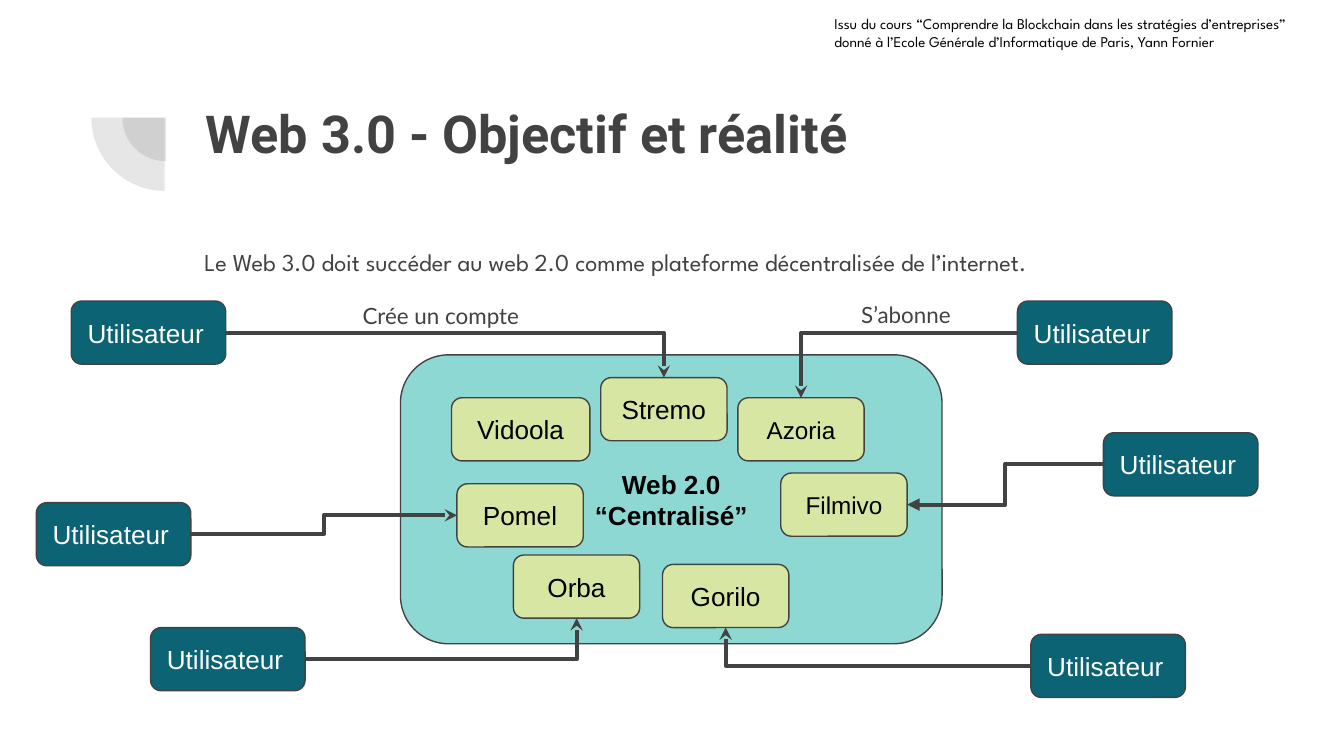
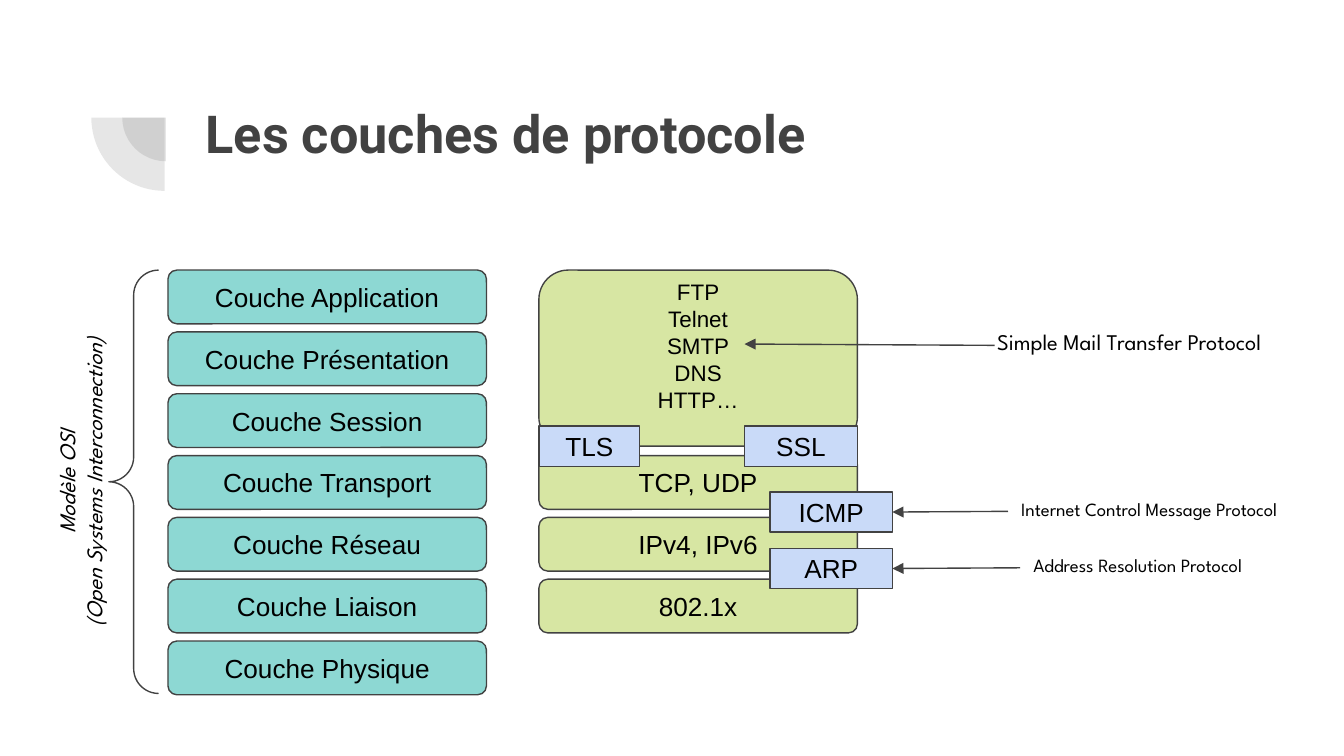
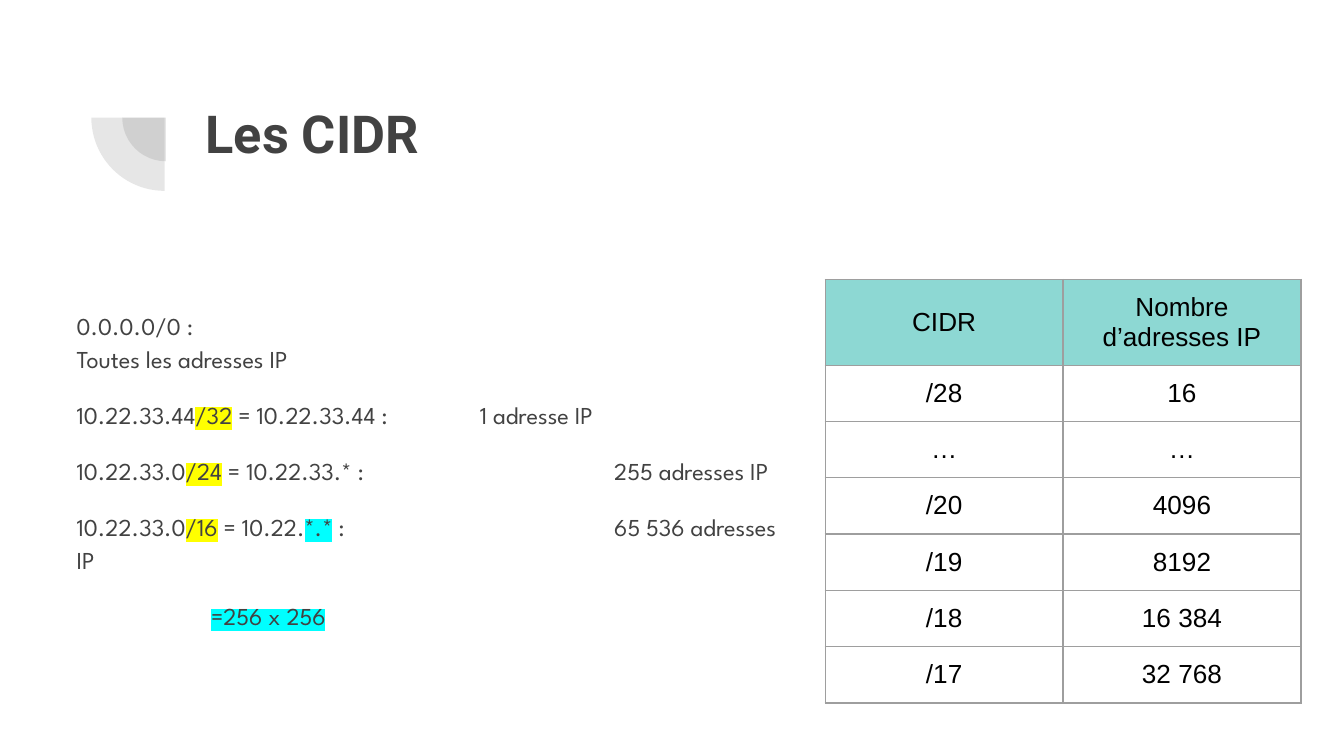
from dataclasses import dataclass

from lxml import etree
from pptx import Presentation
from pptx.dml.color import RGBColor
from pptx.enum.shapes import MSO_CONNECTOR, MSO_SHAPE
from pptx.enum.text import MSO_ANCHOR, MSO_AUTO_SIZE, PP_ALIGN
from pptx.oxml.ns import qn
from pptx.shapes.autoshape import Shape
from pptx.shapes.connector import Connector
from pptx.slide import Slide, SlideMaster
from pptx.table import _Cell
from pptx.text.text import TextFrame, _Paragraph
from pptx.util import Inches, Pt

# Colours
GRAY = RGBColor(0x42, 0x42, 0x42)
BLACK = RGBColor(0x00, 0x00, 0x00)
WHITE = RGBColor(0xFF, 0xFF, 0xFF)
TURQUOISE = RGBColor(0x8D, 0xD8, 0xD3)
LIME = RGBColor(0xD7, 0xE6, 0xA3)
PETROL = RGBColor(0x0B, 0x63, 0x74)
PALE_BLUE = RGBColor(0xC9, 0xDA, 0xF8)
BORDER_GRAY = RGBColor(0x9E, 0x9E, 0x9E)
YELLOW = RGBColor(0xFF, 0xFF, 0x00)
CYAN = RGBColor(0x00, 0xFF, 0xFF)

# Enum members
ROUNDED, RECTANGLE = MSO_SHAPE.ROUNDED_RECTANGLE, MSO_SHAPE.RECTANGLE
PIE, BRACE = MSO_SHAPE.PIE, MSO_SHAPE.LEFT_BRACE
STRAIGHT, ELBOW = MSO_CONNECTOR.STRAIGHT, MSO_CONNECTOR.ELBOW
LEFT, CENTER = PP_ALIGN.LEFT, PP_ALIGN.CENTER
TOP, MIDDLE = MSO_ANCHOR.TOP, MSO_ANCHOR.MIDDLE
NO_FIT, GROW = MSO_AUTO_SIZE.NONE, MSO_AUTO_SIZE.SHAPE_TO_FIT_TEXT

# Sides of a box where connectors join
SIDE_TOP, SIDE_LEFT, SIDE_BOTTOM, SIDE_RIGHT = range(4)

TITLE_AND_BODY, TITLE_ONLY = 1, 5  # layouts
SLIDE_WIDTH = Inches(10)
SLIDE_HEIGHT = SLIDE_WIDTH * 9 // 16
THIN, THICK = Pt(0.75), Pt(2.25)
INSET = Inches(0.1)
TAB_STEP = Inches(1)


@dataclass(frozen=True)
class TextStyle:
    size: float
    name: str = "Arial"
    color: RGBColor = BLACK
    bold: bool = False
    italic: bool = False
    align: PP_ALIGN = LEFT


@dataclass(frozen=True)
class Area:
    left: float
    top: float
    width: float
    height: float

    def lengths(self) -> tuple[int, int, int, int]:
        return (Inches(self.left), Inches(self.top),
                Inches(self.width), Inches(self.height))


@dataclass(frozen=True)
class BoxStyle:
    fill: RGBColor
    text: TextStyle
    kind: MSO_SHAPE = ROUNDED


@dataclass(frozen=True)
class Span:
    text: str
    highlight: RGBColor | None = None


TITLE = TextStyle(28, "Roboto", GRAY, bold=True)
BODY = TextStyle(13, "League Spartan", GRAY)
LABEL = TextStyle(14, align=CENTER)
SMALL_LABEL = TextStyle(13, align=CENTER)
ACTION = TextStyle(12, "Lato", GRAY)
BRACE_NOTE = TextStyle(12, "League Spartan", italic=True, align=CENTER)
CLOUD_BOX = BoxStyle(TURQUOISE, TextStyle(14, bold=True, align=CENTER))
OSI_BOX = BoxStyle(TURQUOISE, LABEL)
LIME_BOX = BoxStyle(LIME, LABEL)
LIME_SMALL_BOX = BoxStyle(LIME, SMALL_LABEL)
PROTOCOL_BOX = BoxStyle(LIME, TextStyle(12, align=CENTER))
USER_BOX = BoxStyle(PETROL, TextStyle(14, color=WHITE))
SECURITY_BOX = BoxStyle(PALE_BLUE, LABEL, RECTANGLE)


# Text
def format_paragraph(para: _Paragraph, style: TextStyle) -> None:
    para.alignment = style.align
    font = para.font
    font.size, font.name = Pt(style.size), style.name
    font.bold, font.italic = style.bold, style.italic
    font.color.rgb = style.color


def set_frame(frame: TextFrame, anchor: MSO_ANCHOR, fit: MSO_AUTO_SIZE) -> None:
    frame.word_wrap = True
    frame.auto_size = fit
    frame.vertical_anchor = anchor
    frame.margin_left = frame.margin_right = INSET
    frame.margin_top = frame.margin_bottom = INSET


def write_text(frame: TextFrame, text: str, style: TextStyle) -> None:
    frame.text = text
    for para in frame.paragraphs:
        format_paragraph(para, style)


def format_body_line(para: _Paragraph, before: float, after: float) -> None:
    properties = para._p.get_or_add_pPr()
    properties.set("marL", "0")
    properties.set("indent", "0")
    properties.set("defTabSz", str(TAB_STEP))
    etree.SubElement(properties, qn("a:buNone"))
    para.line_spacing = 1.15
    para.space_before, para.space_after = Pt(before), Pt(after)
    format_paragraph(para, BODY)


# Slide parts
def set_tab_step(deck) -> None:
    for root in (deck.element, deck.slide_master.element):
        for level in root.iter():
            if level.get("defTabSz"):
                level.set("defTabSz", str(TAB_STEP))


def add_titled_slide(deck, layout: int, title: str) -> Slide:
    slide = deck.slides.add_slide(deck.slide_layouts[layout])
    holder = slide.shapes.title
    holder.left, holder.top, holder.width, holder.height = Area(1.43, 0.65, 7.69, 1.09).lengths()
    set_frame(holder.text_frame, TOP, NO_FIT)
    write_text(holder.text_frame, title, TITLE)
    return slide


def place_body(slide: Slide, area: Area) -> TextFrame:
    holder = slide.placeholders[1]
    holder.left, holder.top, holder.width, holder.height = area.lengths()
    set_frame(holder.text_frame, TOP, NO_FIT)
    return holder.text_frame


def add_quarter_discs(slide: Slide, master: SlideMaster) -> None:
    """Draw the two corner pieces, then hand them to the shared master."""
    for number, area in enumerate((Area(0.91, 0.55, 0.65, 0.65),
                                   Area(0.68, 0.33, 1.09, 1.09))):
        disc = slide.shapes.add_shape(PIE, *area.lengths())
        disc.adjustments[0], disc.adjustments[1] = 108, 162
        disc.rotation = 270
        disc.shadow.inherit = False
        disc.line.fill.background()
        disc.fill.solid()
        disc.fill.fore_color.rgb = GRAY
        color = disc.element.spPr.find(qn("a:solidFill"))[0]
        etree.SubElement(color, qn("a:alpha"), val="13000")
        disc.element.nvSpPr.cNvPr.set("id", str(100 + number))
        master.shapes.element.append(disc.element)


def add_box(slide: Slide, text: str, area: Area, style: BoxStyle) -> Shape:
    box = slide.shapes.add_shape(style.kind, *area.lengths())
    box.shadow.inherit = False
    box.fill.solid()
    box.fill.fore_color.rgb = style.fill
    box.line.color.rgb = GRAY
    box.line.width = THIN
    set_frame(box.text_frame, MIDDLE, NO_FIT)
    write_text(box.text_frame, text, style.text)
    return box


def add_note(slide: Slide, text: str, area: Area, style: TextStyle) -> Shape:
    note = slide.shapes.add_textbox(*area.lengths())
    set_frame(note.text_frame, TOP, GROW)
    write_text(note.text_frame, text, style)
    return note


def style_arrow(arrow: Connector, width: int, head: str) -> None:
    arrow.line.color.rgb = GRAY
    arrow.line.width = width
    properties = arrow.element.spPr
    etree.SubElement(properties.find(qn("a:ln")), qn("a:tailEnd"), type=head)
    etree.SubElement(properties, qn("a:effectLst"))


def join_boxes(slide: Slide, kind: MSO_CONNECTOR, start: Shape, start_side: int,
               end: Shape, end_side: int) -> Connector:
    arrow = slide.shapes.add_connector(kind, 0, 0, 0, 0)
    arrow.begin_connect(start, start_side)
    arrow.end_connect(end, end_side)
    return arrow


# Slide 1
def build_web_slide(deck) -> None:
    slide = add_titled_slide(deck, TITLE_AND_BODY, "Web 3.0 - Objectif et réalité")
    add_quarter_discs(slide, deck.slide_master)
    frame = place_body(slide, Area(1.42, 1.71, 7.7, 0.47))
    frame.text = "Le Web 3.0 doit succéder au web 2.0 comme plateforme décentralisée de l’internet."
    format_body_line(frame.paragraphs[0], before=0, after=12)

    add_box(slide, "Web 2.0\n“Centralisé”", Area(2.98, 2.64, 4.03, 2.15), CLOUD_BOX)
    services = {
        name: add_box(slide, name, Area(left, top, width, 0.47), style)
        for name, left, top, width, style in (
            ("Stremo", 4.47, 2.81, 0.94, LIME_BOX),
            ("Vidoola", 3.36, 2.96, 1.03, LIME_BOX),
            ("Gorilo", 4.93, 4.2, 0.94, LIME_BOX),
            ("Azoria", 5.49, 2.96, 0.94, LIME_SMALL_BOX),
            ("Orba", 3.82, 4.13, 0.94, LIME_BOX),
            ("Pomel", 3.4, 3.6, 0.94, LIME_BOX),
            ("Filmivo", 5.81, 3.52, 0.94, LIME_SMALL_BOX),
        )
    }

    # Users, each with an arrow to a service
    for left, top, side, service, service_side, head in (
        (0.53, 2.24, SIDE_RIGHT, "Stremo", SIDE_TOP, "stealth"),
        (0.27, 3.74, SIDE_RIGHT, "Pomel", SIDE_LEFT, "stealth"),
        (1.12, 4.67, SIDE_RIGHT, "Orba", SIDE_BOTTOM, "stealth"),
        (7.57, 2.24, SIDE_LEFT, "Azoria", SIDE_TOP, "stealth"),
        (8.21, 3.22, SIDE_LEFT, "Filmivo", SIDE_RIGHT, "triangle"),
        (7.67, 4.72, SIDE_LEFT, "Gorilo", SIDE_BOTTOM, "stealth"),
    ):
        user = add_box(slide, "Utilisateur", Area(left, top, 1.15, 0.47), USER_BOX)
        arrow = join_boxes(slide, ELBOW, user, side, services[service], service_side)
        if service_side in (SIDE_TOP, SIDE_BOTTOM):  # a single bend
            arrow.element.spPr.find(qn("a:prstGeom")).set("prst", "bentConnector2")
        style_arrow(arrow, THICK, head)

    add_note(slide, "Crée un compte", Area(2.6, 2.15, 1.37, 0.4), ACTION)
    add_note(slide, "S’abonne", Area(6.31, 2.14, 1.37, 0.4), ACTION)
    add_note(slide,
             "Issu du cours “Comprendre la Blockchain dans les stratégies d’entreprises”\n"
             "donné à l’Ecole Générale d’Informatique de Paris, Yann Fornier",
             Area(6.11, 0.01, 3.92, 0.47), TextStyle(8, "League Spartan"))


# Slide 2
def build_layers_slide(deck) -> None:
    slide = add_titled_slide(deck, TITLE_ONLY, "Les couches de protocole")

    def layer_area(left: float, row: int) -> Area:
        return Area(left, 2.01 + 0.46 * row, 2.37, 0.4)

    # OSI column and its brace
    for row, name in enumerate(("Application", "Présentation", "Session", "Transport",
                                "Réseau", "Liaison", "Physique")):
        add_box(slide, f"Couche {name}", layer_area(1.25, row), OSI_BOX)
    brace = slide.shapes.add_shape(BRACE, *Area(0.81, 2.01, 0.37, 3.15).lengths())
    brace.adjustments[0] = brace.adjustments[1] = 0.5
    brace.shadow.inherit = False
    brace.fill.background()
    brace.line.color.rgb = GRAY
    brace.line.width = THIN
    model = add_note(slide, "Modèle OSI\n(Open Systems Interconnection)",
                     Area(-0.96, 3.28, 3.12, 0.61), BRACE_NOTE)
    model.rotation = 270

    # Protocol column
    applications = add_box(slide, "FTP\nTelnet\nSMTP\nDNS\nHTTP…",
                           Area(4.01, 2.01, 2.37, 1.31), PROTOCOL_BOX)
    applications.text_frame.margin_top = Inches(0.06)
    applications.text_frame.margin_bottom = Inches(0.25)
    for row, name in enumerate(("TCP, UDP", "IPv4, IPv6", "802.1x"), start=3):
        add_box(slide, name, layer_area(4.01, row), LIME_BOX)
    add_box(slide, "TLS", Area(4.01, 3.17, 0.75, 0.3), SECURITY_BOX)
    add_box(slide, "SSL", Area(5.54, 3.17, 0.84, 0.3), SECURITY_BOX)

    # Protocols spelled out
    add_note(slide, "Simple Mail Transfer Protocol", Area(7.32, 2.34, 2.52, 0.4),
             TextStyle(12, "League Spartan"))
    mail_arrow = slide.shapes.add_connector(STRAIGHT, Inches(7.4), Inches(2.57),
                                            Inches(5.54), Inches(2.56))
    style_arrow(mail_arrow, THIN, "triangle")
    for short, top, meaning, left in (
        ("ICMP", 3.66, "Internet Control Message Protocol", 7.5),
        ("ARP", 4.08, "Address Resolution Protocol", 7.59),
    ):
        box = add_box(slide, short, Area(5.73, top, 0.91, 0.3), SECURITY_BOX)
        note = add_note(slide, meaning, Area(left, top - 0.04, 2.52, 0.37),
                        TextStyle(10, "League Spartan"))
        arrow = join_boxes(slide, STRAIGHT, note, SIDE_LEFT, box, SIDE_RIGHT)
        style_arrow(arrow, THIN, "triangle")


# Slide 3
CIDR_LINES = [
    [Span("0.0.0.0/0 :\vToutes les adresses IP")],
    [Span("10.22.33.44"), Span("/32", YELLOW), Span(" = 10.22.33.44 : \t1 adresse IP")],
    [Span("10.22.33.0"), Span("/24", YELLOW), Span(" = 10.22.33.* : \t\t255 adresses IP")],
    [Span("10.22.33.0"), Span("/16", YELLOW), Span(" = 10.22."), Span("*.*", CYAN),
     Span(" : \t\t65 536 adresses IP")],
    [Span("\t"), Span("=256 x 256", CYAN)],
]
CIDR_TABLE = [
    ("CIDR", "Nombre d’adresses IP"),
    ("/28", "16"),
    ("…", "…"),
    ("/20", "4096"),
    ("/19", "8192"),
    ("/18", "16 384"),
    ("/17", "32 768"),
]


def add_spans(para: _Paragraph, spans: list[Span]) -> None:
    for span in spans:
        for number, part in enumerate(span.text.split("\v")):
            if number:
                para.add_line_break()
            run = para.add_run()
            run.text = part
            if span.highlight is not None:
                mark = etree.SubElement(run._r.get_or_add_rPr(), qn("a:highlight"))
                etree.SubElement(mark, qn("a:srgbClr"), val=str(span.highlight))


def add_borders(cell: _Cell) -> None:
    properties = cell._tc.get_or_add_tcPr()
    for side in ("a:lnL", "a:lnR", "a:lnT", "a:lnB"):
        border = etree.SubElement(properties, qn(side), w=str(THIN))
        fill = etree.SubElement(border, qn("a:solidFill"))
        etree.SubElement(fill, qn("a:srgbClr"), val=str(BORDER_GRAY))


def build_cidr_slide(deck) -> None:
    slide = add_titled_slide(deck, TITLE_AND_BODY, "Les CIDR")
    frame = place_body(slide, Area(0.47, 2.18, 5.46, 2.78))
    last = len(CIDR_LINES) - 1
    for number, spans in enumerate(CIDR_LINES):
        para = frame.add_paragraph() if number else frame.paragraphs[0]
        add_spans(para, spans)
        format_body_line(para, before=12 if number else 0, after=12 if number == last else 0)

    # Table of block sizes
    table = slide.shapes.add_table(len(CIDR_TABLE), 2,
                                   *Area(6.14, 2.08, 3.54, 3.15).lengths()).table
    table.horz_banding = False
    for column in table.columns:
        column.width = Inches(1.77)
    for row, values in enumerate(CIDR_TABLE):
        table.rows[row].height = Inches(0.4 if row else 0.56)
        for column, value in enumerate(values):
            cell = table.cell(row, column)
            cell.margin_left = cell.margin_right = INSET
            cell.margin_top = cell.margin_bottom = INSET
            cell.vertical_anchor = TOP if row else MIDDLE
            add_borders(cell)
            if row:
                cell.fill.background()
            else:
                cell.fill.solid()
                cell.fill.fore_color.rgb = TURQUOISE
            write_text(cell.text_frame, value, LABEL)


def main() -> None:
    deck = Presentation()
    deck.slide_width, deck.slide_height = SLIDE_WIDTH, SLIDE_HEIGHT
    set_tab_step(deck)
    build_web_slide(deck)
    build_layers_slide(deck)
    build_cidr_slide(deck)
    deck.save("out.pptx")


if __name__ == "__main__":
    main()
